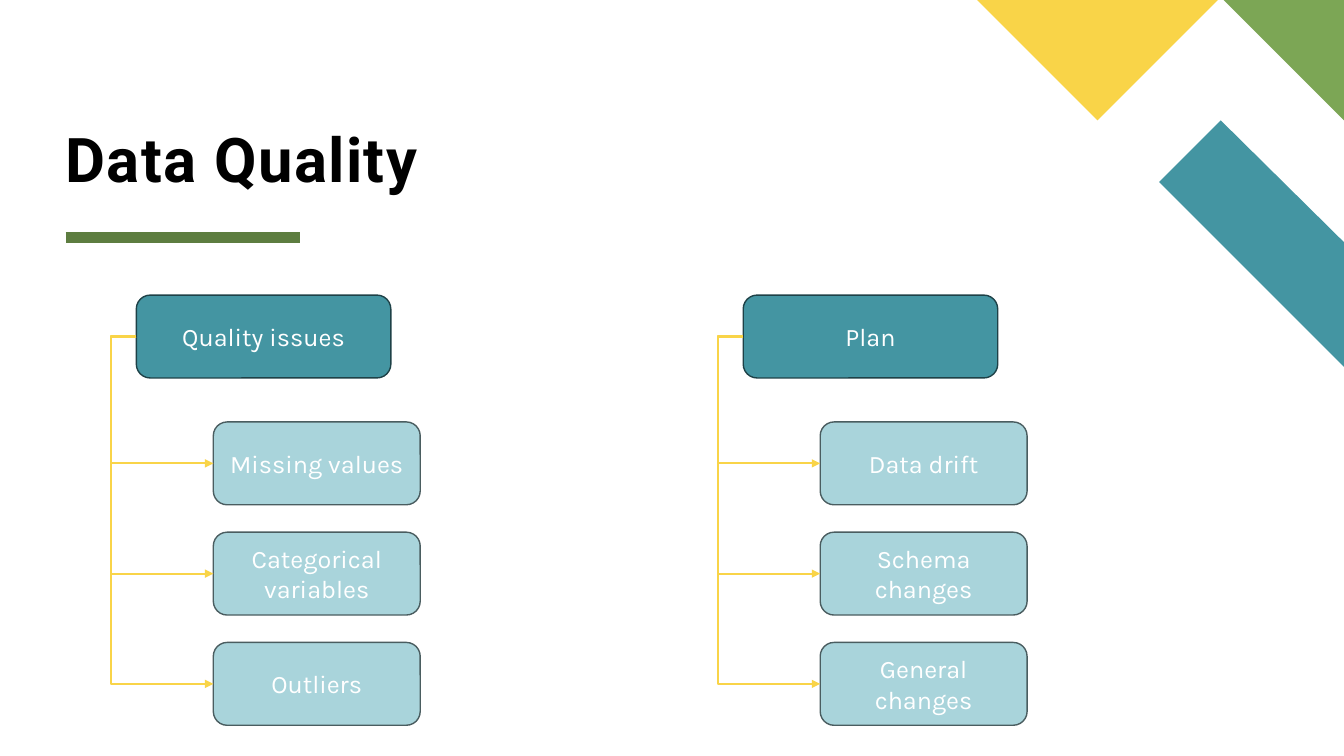
from lxml.etree import SubElement
from pptx import Presentation
from pptx.dml.color import RGBColor
from pptx.enum.shapes import MSO_CONNECTOR as Connector, MSO_SHAPE as Preset
from pptx.enum.text import MSO_ANCHOR as Anchor, PP_ALIGN as Align
from pptx.oxml.ns import qn
from pptx.util import Pt

COLORS = {
    "teal": "4495A2", "teal_edge": "1E4147",
    "pale": "A9D4DB", "pale_edge": "4A5D60",
    "green": "7CA655", "dark_green": "5D7D40",
    "yellow": "F9D448", "white": "FFFFFF", "black": "000000",
}
SLIDE_WIDTH, SLIDE_HEIGHT = 960, 540
LEFT_SITE = 1  # connection site on the left side of a rounded box


def color(name):
    return RGBColor.from_string(COLORS[name])


def add_text(frame, text, font, size, ink):
    para = frame.paragraphs[0]
    span = para.add_run()
    span.text = text
    span.font.name = font
    span.font.size = Pt(size)
    span.font.color.rgb = color(ink)
    return para, span


def style_line(line, ink, width):
    line.line.color.rgb = color(ink)
    line.line.width = Pt(width)
    SubElement(line._element.spPr, qn("a:effectLst"))


def add_corner(page, right, top):
    """Corner ornament, measured leftwards and downwards from the corner."""
    pieces = [
        ("teal", [(0, 262), (0, 173.2), (87.6, 85.8), (131.8, 129.8)]),
        ("green", [(0, 85.6), (0, 0), (85.6, 0)]),
        ("yellow", [(261.8, 0), (175.8, 85.8), (89.6, 0)]),
    ]
    for fill, corners in pieces:
        points = [(right - x, top + y) for x, y in corners]
        builder = page.shapes.build_freeform(*points[0], scale=Pt(1))
        builder.add_line_segments(points[1:], close=True)
        piece = builder.convert_to_shape()
        piece.shadow.inherit = False
        piece.fill.solid()
        piece.fill.fore_color.rgb = color(fill)
        piece.line.fill.background()


def add_heading(page, text, left, top, width, height):
    """Title sitting on the bottom of its box, with a short bar below."""
    bar_y = top + height + 30.4
    bar = page.shapes.add_connector(
        Connector.STRAIGHT, Pt(left), Pt(bar_y), Pt(left + 167.8), Pt(bar_y))
    style_line(bar, "dark_green", 8)

    box = page.shapes.add_textbox(Pt(left), Pt(top), Pt(width), Pt(height))
    frame = box.text_frame
    frame.word_wrap = True
    frame.vertical_anchor = Anchor.BOTTOM
    frame.margin_left = frame.margin_right = 0
    frame.margin_top = frame.margin_bottom = 0
    para, span = add_text(frame, text, "Roboto", 44, "black")
    para.line_spacing = 0.8
    span.font.bold = True
    span._r.get_or_add_rPr().set("spc", "100")


def add_box(page, text, left, top, width, height, fill):
    box = page.shapes.add_shape(
        Preset.ROUNDED_RECTANGLE, Pt(left), Pt(top), Pt(width), Pt(height))
    box.shadow.inherit = False
    box.fill.solid()
    box.fill.fore_color.rgb = color(fill)
    box.line.color.rgb = color(fill + "_edge")
    box.line.width = Pt(1)
    frame = box.text_frame
    frame.word_wrap = True
    frame.vertical_anchor = Anchor.MIDDLE
    para, _ = add_text(frame, text, "Karla", 18, "white")
    para.alignment = Align.CENTER
    return box


def add_branch(page, parent, child):
    """Elbow arrow that leaves and enters on the left sides."""
    arrow = page.shapes.add_connector(
        Connector.ELBOW, parent.left, parent.top, child.left, child.top)
    arrow.begin_connect(parent, LEFT_SITE)
    arrow.end_connect(child, LEFT_SITE)
    style_line(arrow, "yellow", 1.5)
    SubElement(arrow.line._get_or_add_ln(), qn("a:tailEnd"), type="triangle")
    # The bend lies to the left of both boxes
    bends = arrow._element.spPr.prstGeom.get_or_add_avLst()
    SubElement(bends, qn("a:gd"), name="adj1", fmla="val -32800")


def add_tree(page, left, top, width, root, leaves):
    box_height, indent, first_drop, step = 59.2, 55, 90.6, 78.75
    parent = add_box(page, root, left, top, width - 21, box_height, "teal")
    for row, leaf in enumerate(leaves):
        child = add_box(page, leaf, left + indent, top + first_drop + row * step,
                        width - indent, box_height, "pale")
        add_branch(page, parent, child)


def build_quality_slide(deck):
    page = deck.slides.add_slide(deck.slide_layouts[6])
    page.background.fill.solid()
    page.background.fill.fore_color.rgb = color("white")

    add_corner(page, SLIDE_WIDTH, 0)
    add_heading(page, "Data Quality", 46.8, 21.6, 769.7, 117.4)

    trees = [
        ("Quality issues", ["Missing values", "Categorical variables", "Outliers"]),
        ("Plan", ["Data drift", "Schema changes", "General changes"]),
    ]
    for column, (root, leaves) in enumerate(trees):
        add_tree(page, 97.4 + column * 433.5, 210.8, 202.8, root, leaves)


def main():
    deck = Presentation()
    deck.slide_width, deck.slide_height = Pt(SLIDE_WIDTH), Pt(SLIDE_HEIGHT)
    build_quality_slide(deck)
    deck.save("out.pptx")


if __name__ == "__main__":
    main()
